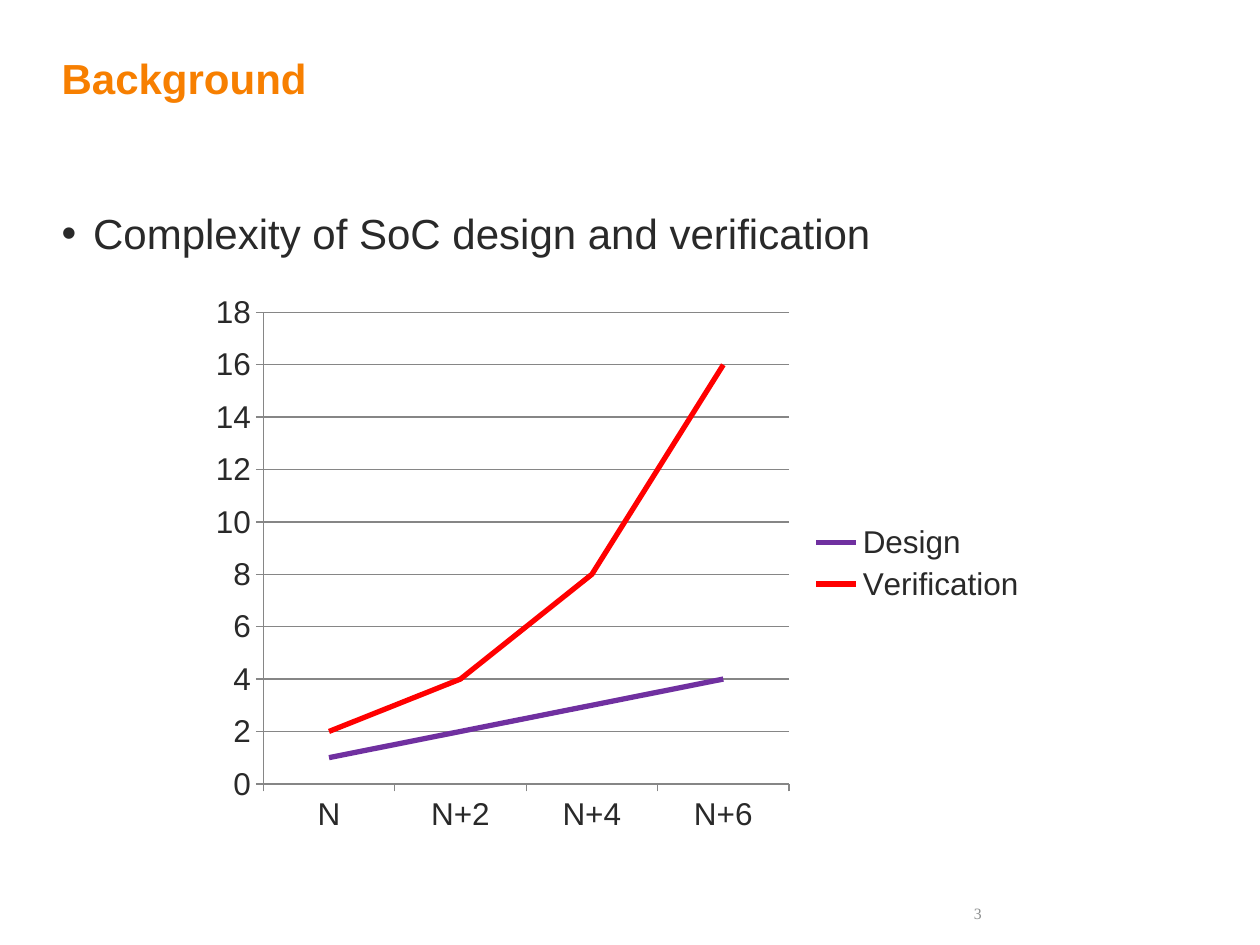
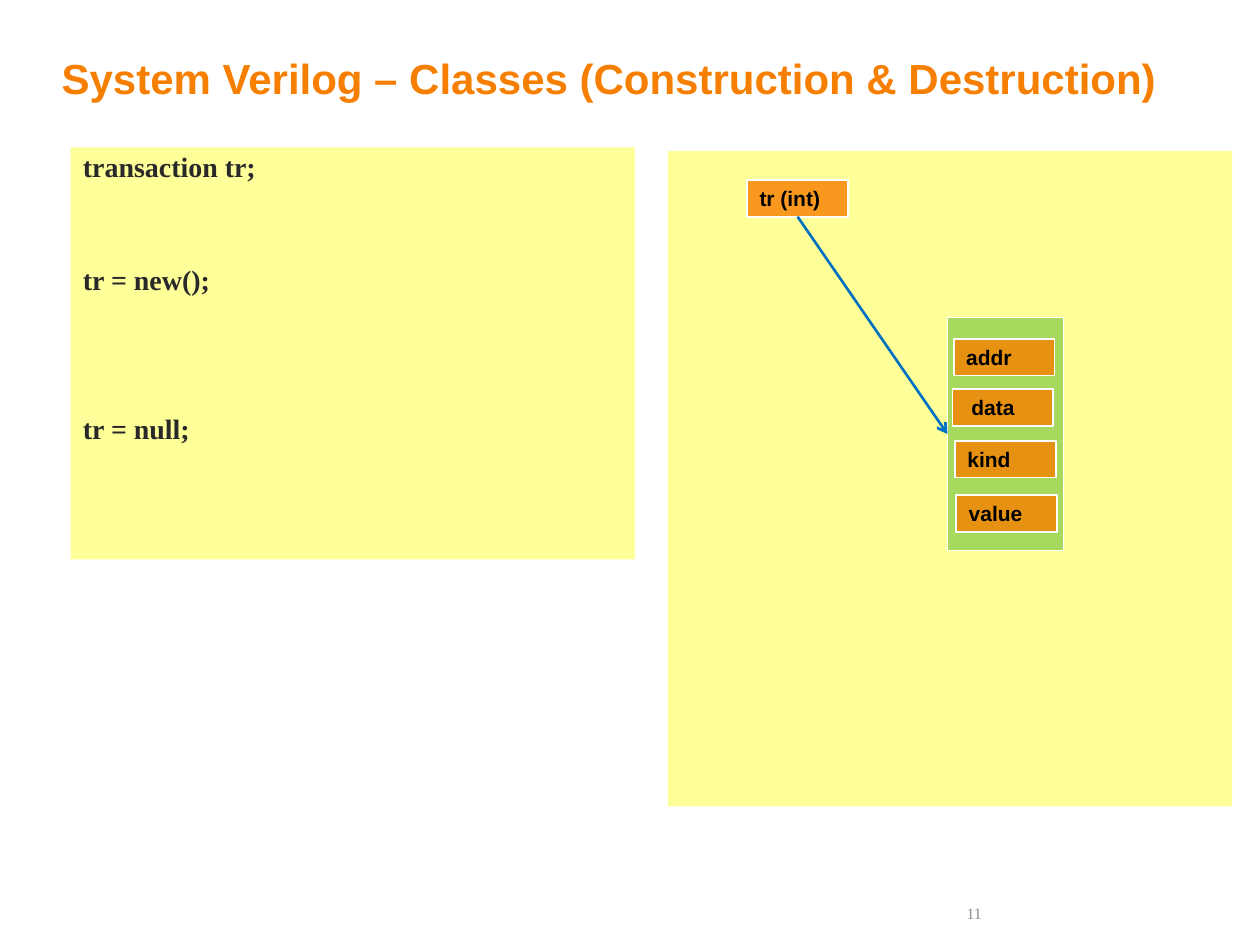
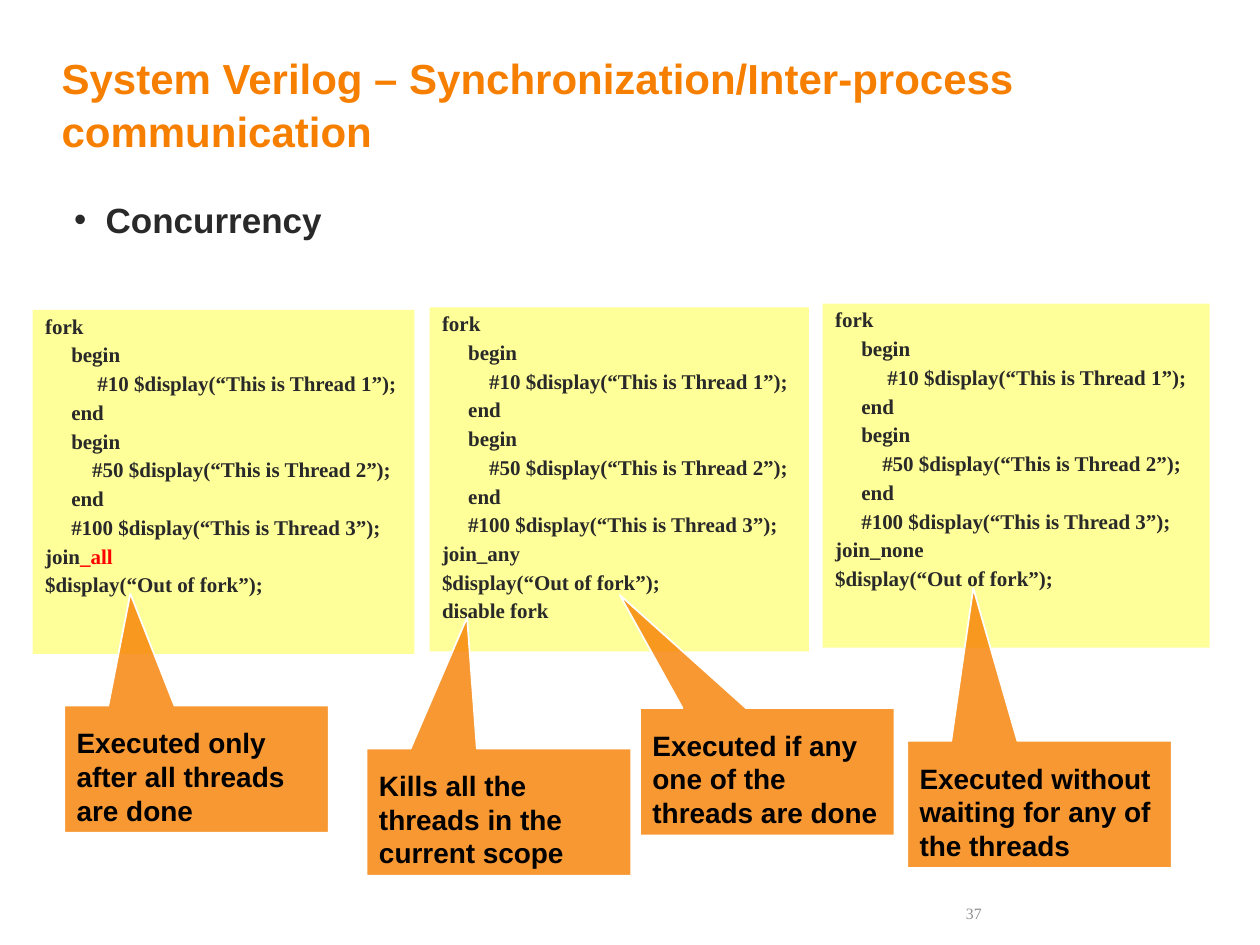
from lxml.etree import SubElement
from pptx import Presentation
from pptx.chart.data import CategoryChartData
from pptx.dml.color import RGBColor
from pptx.enum.chart import XL_CHART_TYPE as ChartType, XL_LEGEND_POSITION as LegendSide, XL_TICK_MARK as Tick
from pptx.enum.shapes import MSO_CONNECTOR as Connector, MSO_SHAPE as Preset
from pptx.enum.text import MSO_ANCHOR as Anchor, PP_ALIGN as Align
from pptx.oxml.ns import qn
from pptx.util import Inches, Pt

ORANGE, GREEN, YELLOW = "F77F00", "92D050", "FFFF99"
INK, BLACK, WHITE, RED = "292929", "000000", "FFFFFF", "FF0000"
GRAY, RULE, BLUE, PURPLE = "8C8E8E", "868686", "0070C0", "7030A0"
SANS, SERIF = "Arial", "Times New Roman"
COLUMNS, ROWS = 100, 75
LINE_HEIGHT, TIGHT, LEAD = 1.15, 0.9, 0.25


def color(hex_text):
    return RGBColor.from_string(hex_text)


def paint(fill, hex_text, opacity=100):
    fill.solid()
    fill.fore_color.rgb = color(hex_text)
    if opacity < 100:
        tint = fill._xPr.find(qn("a:solidFill"))[0]
        SubElement(tint, qn("a:alpha"), val=str(opacity * 1000))


class SlideWriter:
    def __init__(self, deck):
        self.deck = deck
        self.column = deck.slide_width / COLUMNS
        self.row = deck.slide_height / ROWS
        self.page = None

    def place(self, left, top, width, height):
        units = (self.column, self.row, self.column, self.row)
        return [round(value * unit) for value, unit in zip((left, top, width, height), units)]

    def start(self, title, number):
        self.page = self.deck.slides.add_slide(self.deck.slide_layouts[6])
        self.text((70.2, 71.2, 8.7, 2.5), str(number), 9, GRAY, font=SERIF, align=Align.RIGHT)
        self.text((3.9, 3.5, 91.2, 8.7), title, 24, ORANGE, bold=True, spacing=1.05)

    def span(self, para, text, size, hue, font=SANS, bold=False):
        span = para.add_run()
        span.text = text
        span.font.size = Pt(size)
        span.font.name = font
        span.font.bold = bold
        span.font.color.rgb = color(hue)

    def text(self, area, text, size, hue, font=SANS, bold=False, align=Align.LEFT, spacing=1.0):
        box = self.page.shapes.add_textbox(*self.place(*area))
        box.text_frame.word_wrap = True
        para = box.text_frame.paragraphs[0]
        para.alignment = align
        para.line_spacing = spacing
        self.span(para, text, size, hue, font, bold)
        return para

    def bullet(self, area, text, size, bold=False):
        para = self.text(area, text, size, INK, bold=bold, spacing=TIGHT)
        props = para._p.get_or_add_pPr()
        props.set("marL", str(Inches(0.25)))
        props.set("indent", str(-Inches(0.25)))
        SubElement(props, qn("a:buFont"), typeface=SANS)
        SubElement(props, qn("a:buChar"), char="•")

    def panel(self, area, fill, opacity=100, edge=None, preset=Preset.RECTANGLE):
        box = self.page.shapes.add_shape(preset, *self.place(*area))
        box.shadow.inherit = False
        paint(box.fill, fill, opacity)
        if edge:
            box.line.color.rgb = color(edge)
            box.line.width = Pt(1)
        else:
            box.line.fill.background()
        return box

    def label(self, area, text, size=12, inset=0.1, preset=Preset.RECTANGLE):
        box = self.panel(area, ORANGE, 80, WHITE, preset)
        frame = box.text_frame
        frame.word_wrap = True
        frame.margin_left = Inches(inset)
        frame.vertical_anchor = Anchor.BOTTOM
        para = frame.paragraphs[0]
        para.alignment = Align.LEFT
        self.span(para, text, size, BLACK, bold=True)
        return box

    def callout(self, area, text, tip):
        box = self.label(area, text, 16, preset=Preset.RECTANGULAR_CALLOUT)
        for index, value in enumerate(tip):
            box.adjustments[index] = value

    def code(self, area, lines, size):
        frame = self.panel(area, YELLOW).text_frame
        frame.word_wrap = True
        frame.vertical_anchor = Anchor.TOP
        full = size * LINE_HEIGHT
        for index, (skipped, spans) in enumerate(lines):
            para = frame.add_paragraph() if index else frame.paragraphs[0]
            para.alignment = Align.LEFT
            para.line_spacing = TIGHT
            if index:
                para.space_before = Pt(full * (LEAD + skipped * (TIGHT + LEAD)))
            for text, hue in spans:
                self.span(para, text, size, hue, SERIF, True)

    def arrow(self, source, source_side, target, target_side):
        line = self.page.shapes.add_connector(Connector.STRAIGHT, 0, 0, 0, 0)
        line.begin_connect(source, source_side)
        line.end_connect(target, target_side)
        line.line.color.rgb = color(BLUE)
        line.line.width = Pt(1.5)
        SubElement(line.line._get_or_add_ln(), qn("a:tailEnd"), type="arrow")
        SubElement(line._element.spPr, qn("a:effectLst"))

    def line_chart(self, area, categories, series, top, step):
        data = CategoryChartData()
        data.categories = categories
        for name, values, _ in series:
            data.add_series(name, values)
        chart = self.page.shapes.add_chart(ChartType.LINE, *self.place(*area), data).chart
        chart.has_title = False
        chart.font.size = Pt(18)
        chart.font.name = SANS
        chart.font.color.rgb = color(INK)
        chart.has_legend = True
        chart.legend.position = LegendSide.RIGHT
        chart.legend.include_in_layout = False
        scale = chart.value_axis
        scale.minimum_scale, scale.maximum_scale, scale.major_unit = 0, top, step
        scale.has_major_gridlines = True
        for axis in (chart.category_axis, scale):
            axis.major_tick_mark = Tick.OUTSIDE
            axis.minor_tick_mark = Tick.NONE
        for part in (chart.category_axis, scale, scale.major_gridlines):
            part.format.line.color.rgb = color(RULE)
            part.format.line.width = Pt(0.75)
        chart.plots[0].vary_by_categories = False
        for curve, (_, _, hue) in zip(chart.plots[0].series, series):
            curve.smooth = False
            curve.format.line.color.rgb = color(hue)
            curve.format.line.width = Pt(3)


def background(writer):
    writer.start("Background", 3)
    writer.bullet((3.9, 16.4, 91.2, 4.8), "Complexity of SoC design and verification", 24)
    efforts = [("Design", (1, 2, 3, 4), PURPLE), ("Verification", (2, 4, 8, 16), RED)]
    writer.line_chart((15.8, 22.5, 66.7, 44.4), ("N", "N+2", "N+4", "N+6"), efforts, 18, 2)


def construction(writer):
    writer.start("System Verilog – Classes (Construction & Destruction)", 11)
    writer.panel((53, 12, 44.8, 52), YELLOW)
    steps = [(0, "transaction tr;"), (2, "tr = new();"), (3, "tr = null;")]
    lines = [(skipped, [(text, INK)]) for skipped, text in steps]
    writer.code((5.6, 11.7, 44.8, 32.7), lines, 16)
    handle = writer.label((59.3, 14.3, 8, 2.9), "tr (int)")
    instance = writer.panel((75.2, 25.2, 9.2, 18.5), GREEN, 80, WHITE)
    fields = [
        (75.7, 26.9, "addr", 0.1),
        (75.6, 30.9, "data", 0.15),
        (75.8, 35, "kind", 0.1),
        (75.9, 39.3, "value", 0.1),
    ]
    for left, top, name, inset in fields:
        writer.label((left, top, 8, 2.9), name, inset=inset)
    writer.arrow(handle, 2, instance, 1)


def fork_lines(first_indent, join, join_color, ending):
    body = [
        "fork",
        "     begin",
        " " * first_indent + "#10 $display(“This is Thread 1”);",
        "     end",
        "     begin",
        "         #50 $display(“This is Thread 2”);",
        "     end",
        "     #100 $display(“This is Thread 3”);",
    ]
    spans = [[(text, INK)] for text in body]
    spans.append([("join", INK), (join, join_color)])
    spans += [[(text, INK)] for text in ("$display(“Out of fork”);", *ending)]
    return [(0, line) for line in spans]


def synchronization(writer):
    writer.start("System Verilog – Synchronization/Inter-process communication", 37)
    forks = [
        ((2.6, 24.6, 30.3, 27.3), 10, "_all", RED, ()),
        ((34.1, 24.4, 30.1, 27.3), 9, "_any", INK, ("disable fork",)),
        ((65.3, 24.1, 30.7, 27.3), 10, "_none", INK, ()),
    ]
    for area, *parts in forks:
        writer.code(area, fork_lines(*parts), 12)
    notes = [
        (5.1, 56, 21, "Executed only after all threads are done", (-0.25, -1.38)),
        (50.8, 56.2, 20.2, "Executed if any one of the threads are done", (-0.58, -1.39)),
        (72, 58.8, 21, "Executed without waiting for any of the threads", (-0.25, -1.7)),
        (29.1, 59.4, 21, "Kills all the threads in the current scope", (-0.12, -1.53)),
    ]
    for left, top, width, text, tip in notes:
        writer.callout((left, top, width, 10.1), text, tip)
    writer.bullet((4.9, 15.6, 90.1, 4.5), "Concurrency", 20, bold=True)


def main():
    deck = Presentation()
    deck.slide_width, deck.slide_height = Inches(10), Inches(7.5)
    writer = SlideWriter(deck)
    for build in (background, construction, synchronization):
        build(writer)
    deck.save("out.pptx")


if __name__ == "__main__":
    main()
